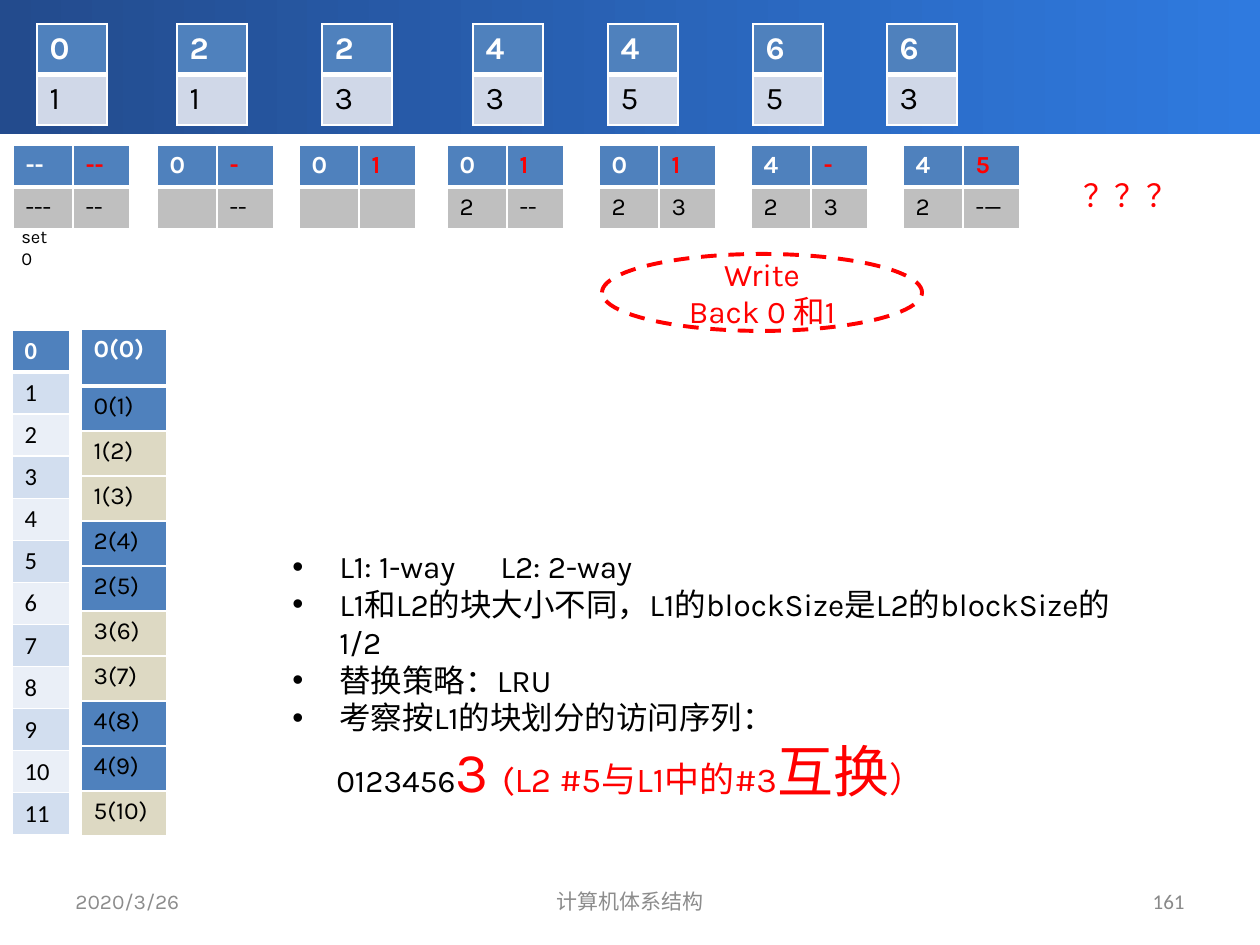
"""Draw the slide that traces a two-level cache through an access sequence."""
from dataclasses import dataclass

from lxml.etree import SubElement
from pptx import Presentation
from pptx.dml.color import RGBColor
from pptx.enum.dml import MSO_LINE
from pptx.enum.shapes import MSO_SHAPE as Shape
from pptx.enum.text import MSO_ANCHOR as Anchor, PP_ALIGN as Align
from pptx.oxml.ns import qn
from pptx.util import Emu, Pt

PX_PER_INCH = 126
KARLA, CALIBRI = "Karla", "Calibri"
BLACK, WHITE, RED, BLUE = "000000", "FFFFFF", "FF0000", "4F81BD"
PALE, GREY, SAND = "D0D8E8", "BFBFBF", "DDD9C3"
BAND_DARK, BAND_LIGHT = "D2DEEF", "EAEFF7"


@dataclass(frozen=True)
class Run:
    text: str
    size: float = 18
    color: str = BLACK
    bold: bool = False
    font: str = KARLA


@dataclass(frozen=True)
class Line:
    runs: tuple[Run, ...]
    align: Align = Align.LEFT
    bullet: bool = False
    indent: int = 0
    tab: int = 0


@dataclass(frozen=True)
class Cell:
    run: Run
    fill: str


@dataclass(frozen=True)
class Grid:
    left: int
    top: int
    widths: list[int]
    heights: list[int]
    rows: list[list[Cell]]


def px(value: int) -> Emu:
    return Emu(round(value * 914400 / PX_PER_INCH))


def rgb(value: str) -> RGBColor:
    return RGBColor.from_string(value)


def write_line(paragraph, line: Line) -> None:
    paragraph.alignment = line.align
    properties = paragraph._p.get_or_add_pPr()
    properties.set("marL", str(px(line.indent)))
    properties.set("indent", str(-px(line.indent) if line.bullet else 0))
    if line.bullet:
        SubElement(properties, qn("a:buFont"), typeface="Arial")
        SubElement(properties, qn("a:buChar"), char="•")
    if line.tab:
        tabs = SubElement(properties, qn("a:tabLst"))
        SubElement(tabs, qn("a:tab"), pos=str(px(line.tab)), algn="l")
    for item in line.runs:
        if not item.text:
            SubElement(paragraph._p, qn("a:endParaRPr"), sz=str(item.size * 100))
            continue
        run = paragraph.add_run()
        run.text = item.text
        run.font.name, run.font.size = item.font, Pt(item.size)
        run.font.bold = item.bold
        run.font.color.rgb = rgb(item.color)


def write_lines(frame, lines: list[Line], anchor: Anchor = Anchor.TOP) -> None:
    frame.word_wrap = True
    frame.vertical_anchor = anchor
    for index, line in enumerate(lines):
        paragraph = frame.add_paragraph() if index else frame.paragraphs[0]
        write_line(paragraph, line)


def add_text(slide, box: tuple[int, ...], lines: list[Line], anchor: Anchor = Anchor.TOP) -> None:
    shape = slide.shapes.add_textbox(*map(px, box))
    write_lines(shape.text_frame, lines, anchor)


def set_borders(cell, row: int) -> None:
    properties = cell._tc.get_or_add_tcPr()
    widths = {"L": 1, "R": 1, "T": 3 if row == 1 else 1, "B": 3 if row == 0 else 1}
    for side, width in widths.items():
        border = SubElement(properties, qn(f"a:ln{side}"), w=str(Pt(width)))
        SubElement(SubElement(border, qn("a:solidFill")), qn("a:srgbClr"), val=WHITE)


def add_grid(slide, grid: Grid) -> None:
    size = px(sum(grid.widths)), px(sum(grid.heights))
    frame = slide.shapes.add_table(len(grid.heights), len(grid.widths), px(grid.left), px(grid.top), *size)
    table = frame.table
    table.first_row = table.horz_banding = False
    for column, width in zip(table.columns, grid.widths):
        column.width = px(width)
    for row, height in zip(table.rows, grid.heights):
        row.height = px(height)
    for row, cells in enumerate(grid.rows):
        for column, item in enumerate(cells):
            cell = table.cell(row, column)
            set_borders(cell, row)
            cell.fill.solid()
            cell.fill.fore_color.rgb = rgb(item.fill)
            write_line(cell.text_frame.paragraphs[0], Line((item.run,)))


def add_banner(slide) -> None:
    banner = slide.shapes.add_shape(Shape.RECTANGLE, 0, 0, px(1260), px(134))
    banner.shadow.inherit = False
    banner.line.fill.background()
    banner.fill.gradient()
    banner.fill.gradient_angle = 0
    for stop, color, position in zip(banner.fill.gradient_stops, ("234B8D", "2F7ADF"), (0, 1)):
        stop.color.rgb = rgb(color)
        stop.position = position


def add_write_back(slide) -> None:
    oval = slide.shapes.add_shape(Shape.OVAL, px(602), px(254), px(320), px(77))
    oval.shadow.inherit = False
    oval.fill.background()
    oval.line.color.rgb = rgb(RED)
    oval.line.width = Pt(2.25)
    oval.line.dash_style = MSO_LINE.DASH
    lines = [Line((Run(text, color=RED),), Align.CENTER) for text in ("Write", "Back 0 和1")]
    write_lines(oval.text_frame, lines, Anchor.MIDDLE)


def block_grid(left: int, top_text: str, bottom_text: str) -> Grid:
    rows = [[Cell(Run(top_text, color=WHITE, bold=True), BLUE)], [Cell(Run(bottom_text), PALE)]]
    return Grid(left, 24, [70], [50, 50], rows)


def set_grid(left: int, header: tuple[str, str], body: tuple[str, str]) -> Grid:
    head = [Cell(Run(text, 14, color, True), BLUE) for text, color in zip(header, (WHITE, RED))]
    return Grid(left, 145, [60, 57], [42, 42], [head, [Cell(Run(text, 14), GREY) for text in body]])


def index_grid() -> Grid:
    rows = [[Cell(Run("0", 14, WHITE, True, CALIBRI), BLUE)]]
    for number in range(1, 12):
        fill = BAND_DARK if number % 2 else BAND_LIGHT
        rows.append([Cell(Run(str(number), 14, font=CALIBRI), fill)])
    return Grid(12, 330, [58], [42] * 12, rows)


def memory_grid() -> Grid:
    rows = []
    for number in range(11):
        block = number // 2
        run = Run(f"{block}({number})", 14, BLACK if number else WHITE, number == 0)
        rows.append([Cell(run, SAND if block % 2 else BLUE)])
    return Grid(81, 329, [86], [57] + [45] * 10, rows)


def main() -> None:
    presentation = Presentation()
    presentation.slide_width, presentation.slide_height = px(1260), px(945)
    slide = presentation.slides.add_slide(presentation.slide_layouts[6])
    add_banner(slide)
    footers = [(63, 294, "2020/3/26", Align.LEFT, KARLA, "8C8C8C"),
               (431, 399, "计算机体系结构", Align.CENTER, KARLA, "8C8C8C"),
               (903, 294, "161", Align.RIGHT, CALIBRI, "898989")]
    for left, width, text, align, font, color in footers:
        line = Line((Run(text, 12, color, font=font),), align)
        add_text(slide, (left, 876, width, 50), [line], Anchor.MIDDLE)
    blocks = zip((37, 177, 322, 473, 608, 753, 887), ("01", "21", "23", "43", "45", "65", "63"))
    sets = [(13, ("--", "--"), ("---", "--")), (157, ("0", "-"), ("", "--")),
            (299, ("0", "1"), ("", "")), (447, ("0", "1"), ("2", "--")),
            (599, ("0", "1"), ("2", "3")), (751, ("4", "-"), ("2", "3")),
            (903, ("4", "5"), ("2", "-—"))]
    grids = [block_grid(left, *pair) for left, pair in blocks] + [set_grid(*item) for item in sets]
    for grid in grids + [index_grid(), memory_grid()]:
        add_grid(slide, grid)
    bullets = ["L1: 1-way\tL2: 2-way", "L1和L2的块大小不同，L1的blockSize是L2的blockSize的1/2",
               "替换策略：LRU", "考察按L1的块划分的访问序列："]
    lines = [Line((Run(text),), bullet=True, indent=47, tab=208) for text in bullets]
    sequence = (Run("0123456"), Run("3 ", 32, RED), Run("(L2 #5与L1中的#3", 20, RED),
                Run("互换", 32, RED), Run("）", 20, RED))
    add_text(slide, (280, 541, 881, 310), lines + [Line(sequence, indent=44)])
    add_text(slide, (9, 219, 60, 35), [Line((Run("set0", 10.5),))])
    add_text(slide, (1071, 170, 126, 50), [Line((Run("？？？", color=RED),))])
    add_write_back(slide)
    presentation.save("out.pptx")


if __name__ == "__main__":
    main()
